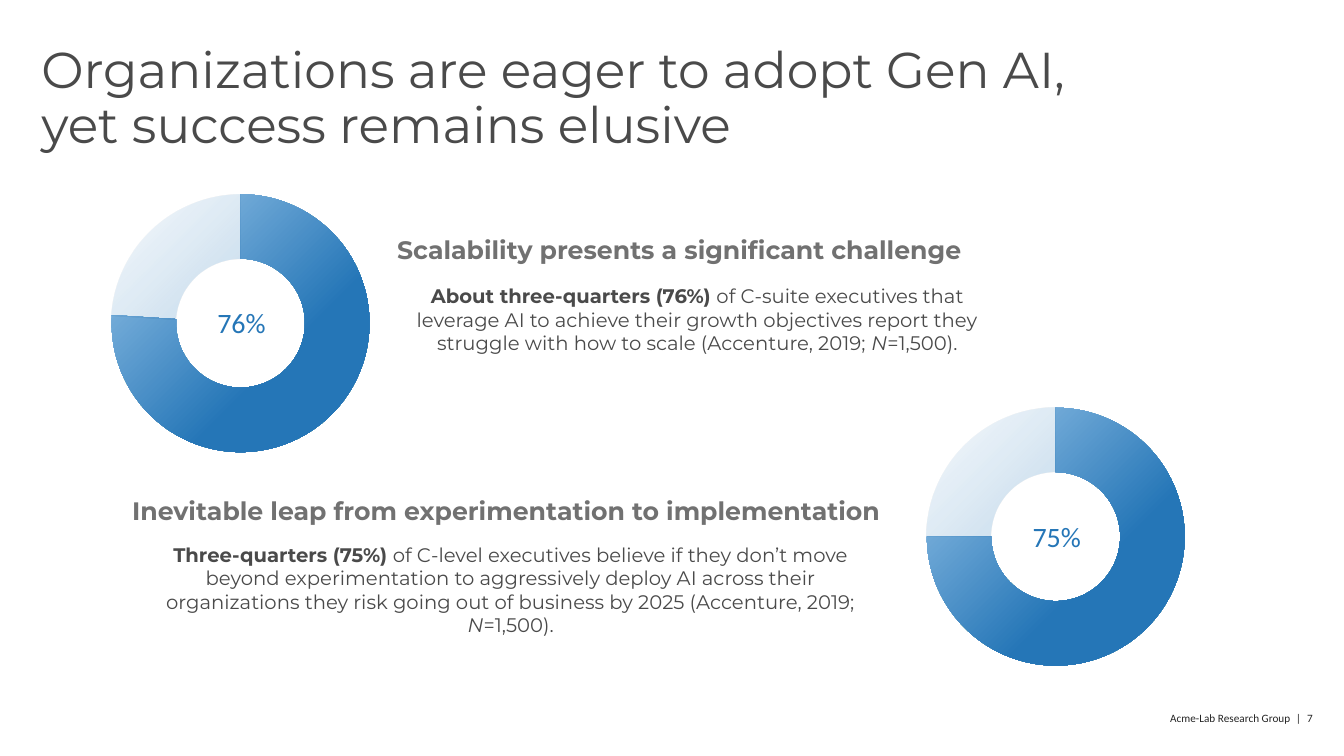
from lxml import etree
from pptx import Presentation
from pptx.chart.data import CategoryChartData
from pptx.dml.color import RGBColor
from pptx.enum.chart import XL_CHART_TYPE as ChartType
from pptx.enum.text import MSO_ANCHOR as Anchor, PP_ALIGN as Align
from pptx.oxml import parse_xml
from pptx.oxml.ns import nsdecls, qn
from pptx.util import Cm, Pt

DARK = RGBColor(0x4A, 0x4A, 0x4A)
GREY = RGBColor(0x71, 0x71, 0x71)
BLUE = RGBColor(0x25, 0x76, 0xB7)
LIGHT_BLUE = RGBColor(0x9F, 0xC9, 0xEB)
FOOTER_GREY = RGBColor(0x24, 0x24, 0x24)
HEAD_FONT, NUMBER_FONT, CHART_FONT = "Montserrat", "Calibri", "Roboto Condensed"

# Content: boxes are left, top, width, height in cm
TITLE = "Organizations are eager to adopt Gen AI, yet success remains elusive"
FOOTER = "Acme-Lab Research Group\t|\t7"
FINDINGS = [
    {
        "percent": 76,
        "chart_at": (0.53, 4.55),
        "heading": "Scalability presents a significant challenge",
        "heading_box": (10.01, 5.87, 16, 0.79),
        "lead": "About three-quarters (76%) ",
        "text": "of C-suite executives that leverage AI to achieve their growth objectives "
                "report they struggle with how to scale (Accenture, 2019; ",
        "text_box": (9.86, 7.16, 15.44, 1.8),
    },
    {
        "percent": 75,
        "chart_at": (21.08, 9.93),
        "heading": "Inevitable leap from experimentation to implementation",
        "heading_box": (3.33, 12.45, 22.45, 0.79),
        "lead": "Three-quarters (75%) ",
        "text": "of C-level executives believe if they don’t move beyond experimentation to "
                "aggressively deploy AI across their organizations they risk going out of "
                "business by 2025 (Accenture, 2019; ",
        "text_box": (3.91, 13.67, 17.93, 2.39),
    },
]
SAMPLE = ("N", "=1,500).")

CHART_W, CHART_H, RING = 11.07, 7.19, 6.5
# Gradient stops per slice: position %, colour, opacity %
SLICE_STOPS = [
    [(0, LIGHT_BLUE, 100), (65, BLUE, 100)],
    [(0, BLUE, 3), (99, BLUE, 26)],
]


def set_frame(tf, anchor=Anchor.TOP):
    tf.word_wrap = True
    tf.vertical_anchor = anchor
    tf.margin_left = tf.margin_right = tf.margin_top = tf.margin_bottom = 0


def add_text(slide, box, runs, size, color, font=HEAD_FONT, align=Align.LEFT,
             anchor=Anchor.TOP, spacing=1.0):
    """Add one paragraph; each run is (text, bold, italic)."""
    tf = slide.shapes.add_textbox(*map(Cm, box)).text_frame
    set_frame(tf, anchor)
    p = tf.paragraphs[0]
    p.alignment, p.line_spacing = align, spacing
    for text, bold, italic in runs:
        r = p.add_run()
        r.text = text
        f = r.font
        f.name, f.size, f.bold, f.italic = font, Pt(size), bold, italic
        f.color.rgb = color
    return p


def fill_slice(point, stops):
    point.format.line.fill.background()
    stop_xml = "".join(
        f'<a:gs pos="{pos * 1000}"><a:srgbClr val="{color}">'
        f'<a:alpha val="{opacity * 1000}"/></a:srgbClr></a:gs>'
        for pos, color, opacity in stops)
    line = point.format.line._get_or_add_ln()
    line.addprevious(parse_xml(
        f'<a:gradFill {nsdecls("a")} rotWithShape="1"><a:gsLst>{stop_xml}</a:gsLst>'
        '<a:lin ang="2700000" scaled="0"/></a:gradFill>'))


def add_ring(slide, left, top, percent):
    data = CategoryChartData()
    data.categories = ["1", "2"]
    data.add_series("Series 1", (percent, 100 - percent))
    chart = slide.shapes.add_chart(ChartType.DOUGHNUT, Cm(left), Cm(top),
                                   Cm(CHART_W), Cm(CHART_H), data).chart
    chart.has_legend = chart.has_title = False
    chart.font.name, chart.font.size = CHART_FONT, Pt(10)
    chart.font.color.rgb = DARK
    plot = chart.plots[0]
    plot.vary_by_categories = True
    for i, stops in enumerate(SLICE_STOPS):
        fill_slice(plot.series[0].points[i], stops)

    # Hole size and a centred plot area
    area = chart._chartSpace.chart.plotArea
    area.find(".//" + qn("c:holeSize")).set("val", "60")
    for old in area.findall(qn("c:layout")):
        area.remove(old)
    w, h = RING / CHART_W, RING / CHART_H
    layout = etree.Element(qn("c:layout"))
    manual = etree.SubElement(layout, qn("c:manualLayout"))
    for tag, val in (("layoutTarget", "inner"), ("xMode", "edge"), ("yMode", "edge"),
                     ("x", (1 - w) / 2), ("y", (1 - h) / 2), ("w", w), ("h", h)):
        etree.SubElement(manual, qn("c:" + tag)).set("val", str(val))
    area.insert(0, layout)

    # Percentage in the hole
    add_text(slide, (left + 1.6, top + 3.15, 7.92, 1.02), [(f"{percent}%", False, False)],
             20, BLUE, NUMBER_FONT, Align.CENTER)


def main():
    prs = Presentation()
    prs.slide_width, prs.slide_height = Cm(33.88), Cm(19.05)
    slide = prs.slides.add_slide(prs.slide_layouts[5])

    # Title
    sp = slide.shapes.title
    sp.left, sp.top, sp.width, sp.height = map(Cm, (1.04, 1.14, 27.74, 3.18))
    tf = sp.text_frame
    tf.text = TITLE
    set_frame(tf)
    p = tf.paragraphs[0]
    p.alignment, p.line_spacing = Align.LEFT, 0.9
    f = p.runs[0].font
    f.name, f.size, f.color.rgb = HEAD_FONT, Pt(36), DARK

    # Findings: ring, heading and explanation
    for item in FINDINGS:
        add_ring(slide, *item["chart_at"], item["percent"])
        add_text(slide, item["heading_box"], [(item["heading"], True, False)], 18, GREY,
                 anchor=Anchor.BOTTOM, spacing=1.1)
        symbol, size = SAMPLE
        runs = [(item["lead"], True, False), (item["text"], False, False),
                (symbol, False, True), (size, False, False)]
        add_text(slide, item["text_box"], runs, 14, DARK, align=Align.CENTER)

    # Footer with tab stops around the divider
    p = add_text(slide, (29.5, 17.93, 4, 0.35), [(FOOTER, False, False)],
                 8, FOOTER_GREY, NUMBER_FONT)
    tabs = etree.SubElement(p._p.get_or_add_pPr(), qn("a:tabLst"))
    for pos in (3.17, 3.45):
        etree.SubElement(tabs, qn("a:tab"), pos=str(Cm(pos)), algn="l")

    prs.save("out.pptx")


if __name__ == "__main__":
    main()
